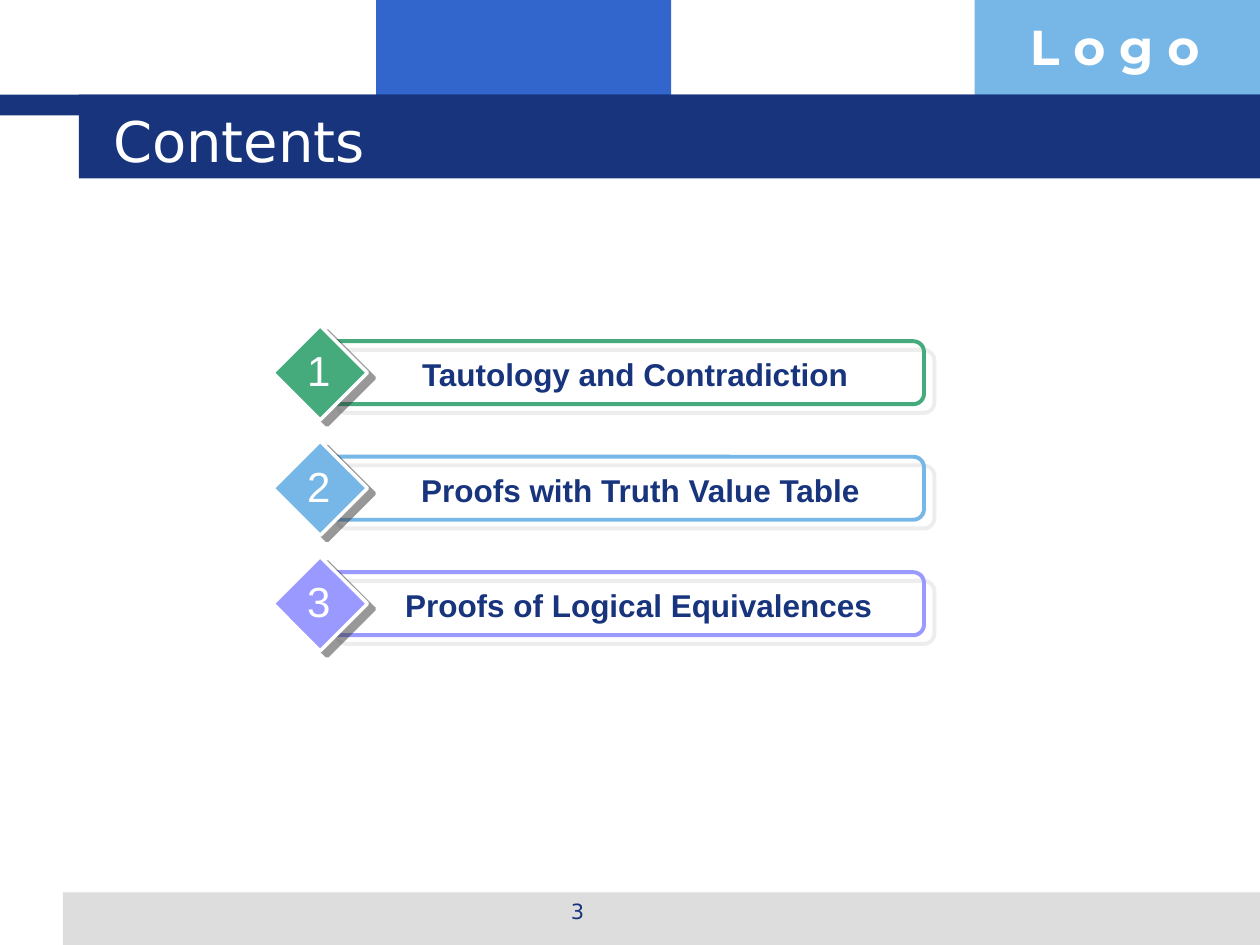
"""Build the Contents slide: header bands, three numbered topics and a footer."""
from dataclasses import dataclass

from lxml import etree
from pptx import Presentation
from pptx.dml.color import RGBColor
from pptx.enum.shapes import MSO_SHAPE
from pptx.enum.text import MSO_ANCHOR, MSO_AUTO_SIZE, PP_ALIGN
from pptx.oxml.ns import qn
from pptx.util import Pt


@dataclass(frozen=True)
class Theme:
    navy: str = "17347D"
    blue: str = "3366CC"
    sky: str = "77B7E7"
    green: str = "45AB7D"
    violet: str = "9999FF"
    white: str = "FFFFFF"
    pale: str = "DDDDDD"
    dark: str = "333333"
    title_size: int = 32
    logo_size: int = 28
    number_size: int = 24
    topic_size: int = 18
    footer_size: int = 12


theme = Theme()
presentation = Presentation()
presentation.slide_width, presentation.slide_height = Pt(720), Pt(540)
slide = presentation.slides.add_slide(presentation.slide_layouts[6])


def add_block(preset, box, fill=None, line=None, line_width=0, shadow=None):
    block = slide.shapes.add_shape(preset, *map(Pt, box))
    block.shadow.inherit = False
    if fill:
        block.fill.solid()
        block.fill.fore_color.rgb = RGBColor.from_string(fill)
    else:
        block.fill.background()
    if line:
        block.line.color.rgb = RGBColor.from_string(line)
        block.line.width = Pt(line_width)
    else:
        block.line.fill.background()
    if shadow:
        color, distance, degrees = shadow
        effects = block._element.spPr.find(qn("a:effectLst"))
        outer = etree.SubElement(effects, qn("a:outerShdw"), blurRad="0", dist=str(Pt(distance)),
                                 dir=str(degrees * 60000), algn="ctr", rotWithShape="0")
        tint = etree.SubElement(outer, qn("a:srgbClr"), val=color)
        etree.SubElement(tint, qn("a:alpha"), val="50000")
    return block


def add_text(text, box, size, color, font="Arial", bold=False, align=PP_ALIGN.LEFT,
             anchor=MSO_ANCHOR.TOP, wrap=True, grow=False):
    frame = slide.shapes.add_textbox(*map(Pt, box)).text_frame
    frame.word_wrap = wrap
    frame.auto_size = MSO_AUTO_SIZE.SHAPE_TO_FIT_TEXT if grow else MSO_AUTO_SIZE.NONE
    frame.vertical_anchor = anchor
    paragraph = frame.paragraphs[0]
    paragraph.alignment = align
    run = paragraph.add_run()
    run.text = text
    run.font.name, run.font.size, run.font.bold = font, Pt(size), bold
    run.font.color.rgb = RGBColor.from_string(color)


bands = [
    ((215, 0, 168.5, 66), theme.blue),
    ((557, 0, 163, 66), theme.sky),
    ((36, 510, 684, 30), theme.pale),
    ((0, 54, 720, 12), theme.navy),
    ((45, 54, 675, 48), theme.navy),
]
for box, fill in bands:
    add_block(MSO_SHAPE.RECTANGLE, box, fill=fill)

add_text("L o g o", (581.5, 5.75, 138.5, 41), theme.logo_size, theme.white,
         font="Montserrat", bold=True, grow=True)
add_text("3", (246, 510, 168, 25), theme.footer_size, theme.navy,
         font="DejaVu Sans", align=PP_ALIGN.CENTER)
add_text("Contents", (57.5, 57.5, 614, 45), theme.title_size, theme.white,
         font="DejaVu Sans", anchor=MSO_ANCHOR.MIDDLE)

topics = [
    ("Tautology and Contradiction", theme.green, 204),
    ("Proofs with Truth Value Table", theme.sky, 210),
    ("Proofs of Logical Equivalences", theme.violet, 208),
]
row_top, row_pitch, topic_right = 186, 66, 522
for index, (topic, accent, topic_left) in enumerate(topics):
    top = row_top + index * row_pitch
    outline = add_block(MSO_SHAPE.ROUNDED_RECTANGLE, (186, top + 9, 342, 36), line=accent,
                        line_width=2.25, shadow=(theme.pale, 7.8, 40))
    outline.adjustments[0] = 0.17
    add_block(MSO_SHAPE.DIAMOND, (156, top, 54, 54), fill=accent, line=theme.white,
              line_width=2, shadow=(theme.dark, 5, 37))
    add_text(topic, (topic_left, top + 13.5, topic_right - topic_left, 29), theme.topic_size,
             theme.navy, bold=True, align=PP_ALIGN.CENTER, grow=True)
    add_text(str(index + 1), (168.25, top + 7.5, 28, 36), theme.number_size, theme.white,
             align=PP_ALIGN.CENTER, wrap=False, grow=True)

presentation.save("out.pptx")
